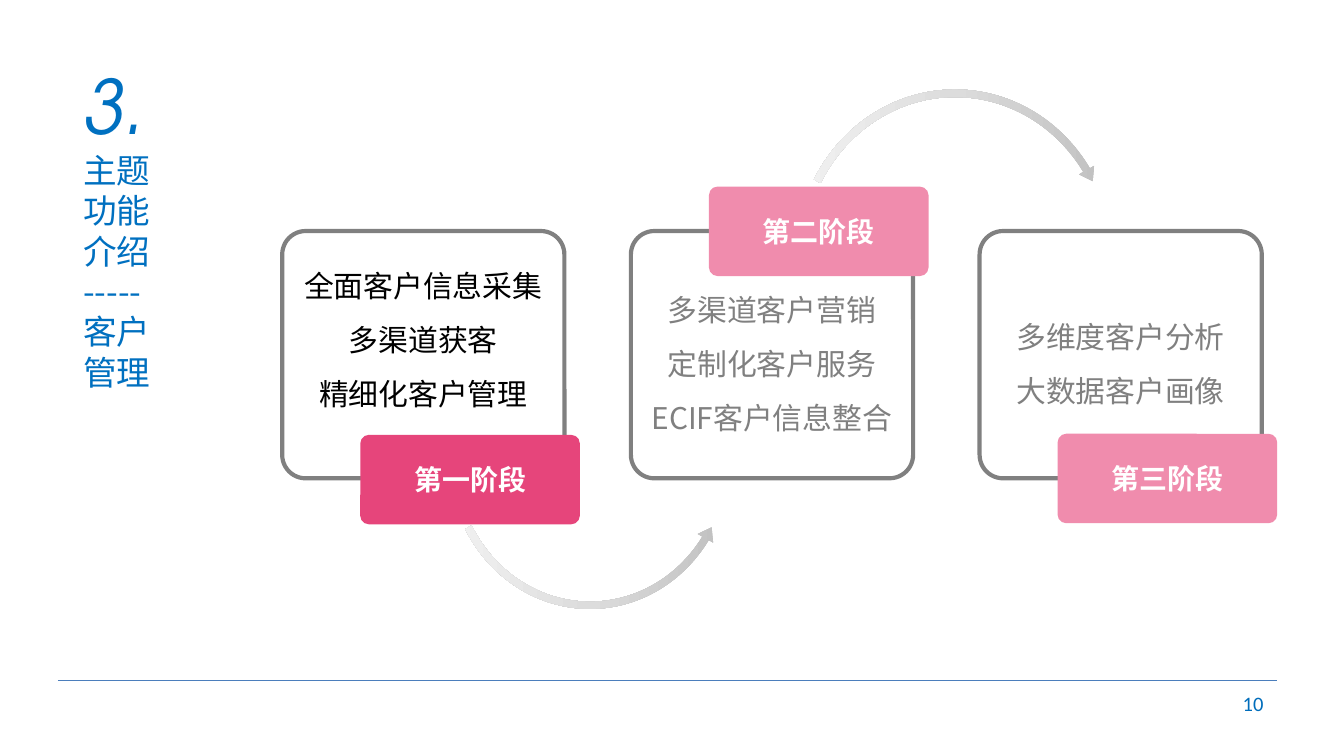
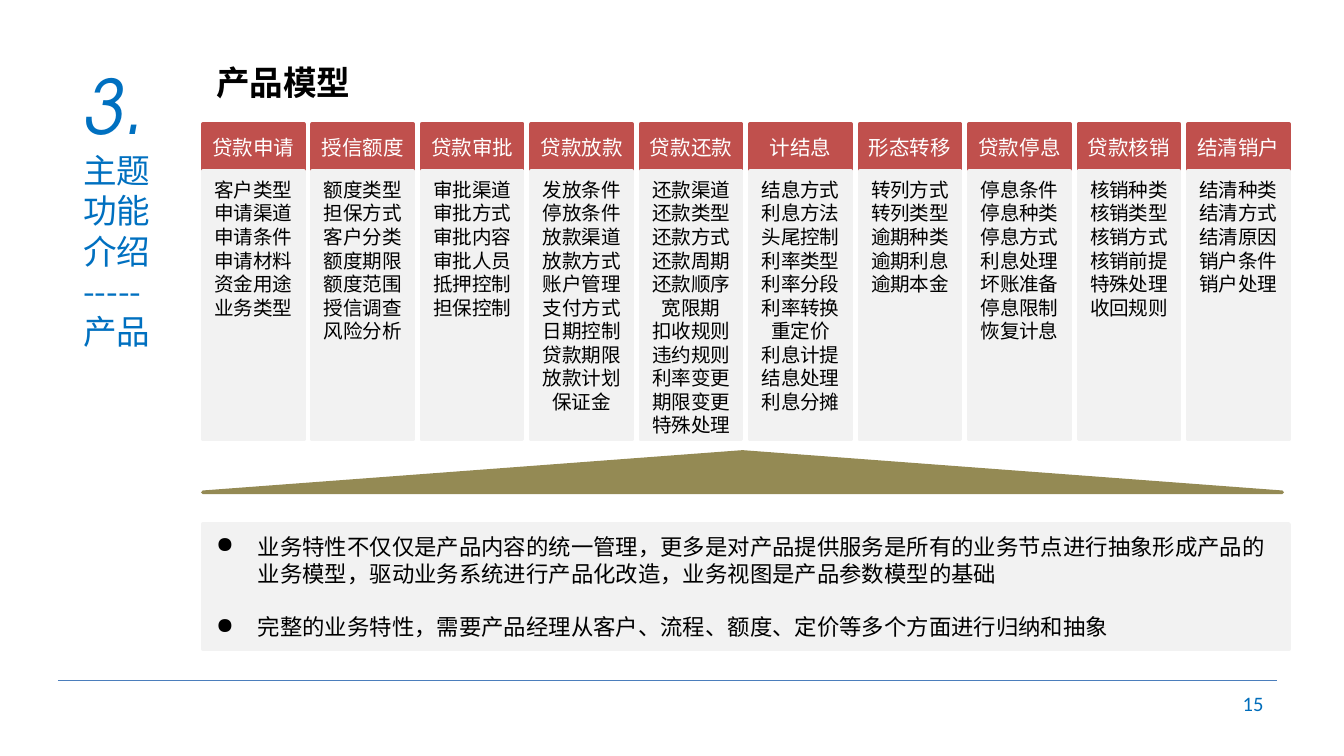
from copy import deepcopy
from dataclasses import dataclass

from lxml import etree
from pptx import Presentation
from pptx.dml.color import RGBColor
from pptx.enum.shapes import MSO_CONNECTOR, MSO_SHAPE
from pptx.enum.text import MSO_ANCHOR, PP_ALIGN
from pptx.oxml.ns import qn
from pptx.util import Pt

RECTANGLE = MSO_SHAPE.RECTANGLE
ROUNDED = MSO_SHAPE.ROUNDED_RECTANGLE
TRIANGLE = MSO_SHAPE.ISOSCELES_TRIANGLE
ARC_OVER = MSO_SHAPE.CIRCULAR_ARROW
ARC_UNDER = MSO_SHAPE.LEFT_CIRCULAR_ARROW
STRAIGHT = MSO_CONNECTOR.STRAIGHT
LEFT, CENTER, RIGHT = PP_ALIGN.LEFT, PP_ALIGN.CENTER, PP_ALIGN.RIGHT
TOP, MIDDLE = MSO_ANCHOR.TOP, MSO_ANCHOR.MIDDLE


@dataclass(frozen=True)
class Theme:
    # Fonts
    body_font: str = "Noto Sans CJK SC"
    number_font: str = "TeX Gyre Adventor"
    footer_font: str = "Calibri"
    # Colours
    title: str = "0070C0"
    page: str = "006DBB"
    rule: str = "4B7EBC"
    black: str = "000000"
    white: str = "FFFFFF"
    gray: str = "808080"
    active: str = "E6457B"
    inactive: str = "F08CAD"
    header: str = "C0504D"
    panel: str = "F2F2F2"
    roof: str = "948A54"
    arc: tuple = ("BEBEBE", "DCDCDC", "F3F3F3")
    # Type sizes
    number_size: float = 40
    title_size: float = 18
    stage_size: float = 16
    tag_size: float = 15
    note_size: float = 12
    header_size: float = 11
    item_size: float = 10.5
    # Proportions
    leading: float = 1.2
    wide_leading: float = 1.8
    corner: float = 0.095


THEME = Theme()


def write(frame, lines, size, color, font=THEME.body_font, bold=False, italic=False,
          align=LEFT, anchor=TOP, insets=(7.2, 3.6, 7.2, 3.6),
          leading=THEME.leading, gap=0, bullet=None, append=False):
    """Fill a text frame with one paragraph for each line."""
    frame.word_wrap = True
    frame.vertical_anchor = anchor
    (frame.margin_left, frame.margin_top,
     frame.margin_right, frame.margin_bottom) = map(Pt, insets)
    for index, line in enumerate(lines):
        is_first = index == 0 and not append
        paragraph = frame.paragraphs[0] if is_first else frame.add_paragraph()
        paragraph.text = line
        if bullet:
            properties = paragraph._p.get_or_add_pPr()
            indent = Pt(22.3)
            properties.set("marL", str(indent))
            properties.set("indent", str(-indent))
            etree.SubElement(properties, qn("a:buChar"), char=bullet)
        paragraph.alignment = align
        paragraph.line_spacing = Pt(size * leading)
        if gap and not is_first:
            paragraph.space_before = Pt(gap)
        for run in paragraph.runs:
            run.font.size = Pt(size)
            run.font.bold = bold
            run.font.italic = italic
            run.font.color.rgb = RGBColor.from_string(color)
            run.font.name = font
            etree.SubElement(run._r.get_or_add_rPr(), qn("a:ea"), typeface=font)


class Deck:
    def __init__(self, theme):
        self.theme = theme
        self.presentation = Presentation()
        self.presentation.slide_width = Pt(720)
        self.presentation.slide_height = Pt(405)
        self.slide = None

    def new_slide(self, topic, page):
        """Start a slide with its side title, footer rule and page number."""
        theme = self.theme
        self.slide = self.presentation.slides.add_slide(self.presentation.slide_layouts[6])
        self.rule(31, 364.5, 684)
        frame = self.text_box(37.5, 28.8, 71.3, 158.4)
        write(frame, ["3."], theme.number_size, theme.title,
              font=theme.number_font, italic=True)
        title = "\v".join(["主题", "功能", "介绍", "-----", *topic])
        write(frame, [title], theme.title_size, theme.title, append=True)
        write(self.text_box(516.2, 365.8, 167.8, 21.6), [page], theme.header_size,
              theme.page, font=theme.footer_font, align=RIGHT, anchor=MIDDLE)

    def rule(self, left, top, right):
        connector = self.slide.shapes.add_connector(
            STRAIGHT, Pt(left), Pt(top), Pt(right), Pt(top))
        connector.line.color.rgb = RGBColor.from_string(self.theme.rule)
        connector.line.width = Pt(0.75)
        etree.SubElement(connector._element.spPr, qn("a:effectLst"))

    def text_box(self, left, top, width, height):
        box = self.slide.shapes.add_textbox(Pt(left), Pt(top), Pt(width), Pt(height))
        return box.text_frame

    def shape(self, kind, left, top, width, height, fill=None, line=None,
              line_width=2, adjustments=()):
        shape = self.slide.shapes.add_shape(
            kind, Pt(left), Pt(top), Pt(width), Pt(height))
        shape.shadow.inherit = False
        for index, value in enumerate(adjustments):
            shape.adjustments[index] = value
        if fill:
            shape.fill.solid()
            shape.fill.fore_color.rgb = RGBColor.from_string(fill)
        else:
            shape.fill.background()
        if line:
            shape.line.color.rgb = RGBColor.from_string(line)
            shape.line.width = Pt(line_width)
        else:
            shape.line.fill.background()
        return shape

    def panel(self, left, top, width, height, color):
        """Add a rectangle whose outline matches its fill."""
        return self.shape(RECTANGLE, left, top, width, height, color, color).text_frame

    def rounded(self, left, top, width, height, **style):
        return self.shape(ROUNDED, left, top, width, height,
                          adjustments=[self.theme.corner], **style).text_frame

    def arc(self, kind, left, top, width, height, adjustments):
        """Add a curved arrow that fades towards its tail."""
        shape = self.shape(kind, left, top, width, height, adjustments=adjustments)
        shape.fill.gradient()
        shape.fill.gradient_angle = 180
        stop_list = shape._element.spPr.find(qn("a:gradFill")).find(qn("a:gsLst"))
        stop_list.append(deepcopy(stop_list[-1]))
        for index, color in enumerate(self.theme.arc):
            stop = shape.fill.gradient_stops[index]
            stop.position = index / 2
            stop.color.rgb = RGBColor.from_string(color)


# Slide content
STAGES = [  # tag, tag top, bottom inset, lines
    ("第一阶段", 233, 26, ["全面客户信息采集", "多渠道获客", "精细化客户管理"]),
    ("第二阶段", 100, 0, ["多渠道客户营销", "定制化客户服务", "ECIF客户信息整合"]),
    ("第三阶段", 232.4, 0, ["多维度客户分析", "大数据客户画像"]),
]

LOAN_STEPS = {
    "贷款申请": "客户类型 申请渠道 申请条件 申请材料 资金用途 业务类型",
    "授信额度": "额度类型 担保方式 客户分类 额度期限 额度范围 授信调查 风险分析",
    "贷款审批": "审批渠道 审批方式 审批内容 审批人员 抵押控制 担保控制",
    "贷款放款": "发放条件 停放条件 放款渠道 放款方式 账户管理 支付方式 日期控制 "
            "贷款期限 放款计划 保证金",
    "贷款还款": "还款渠道 还款类型 还款方式 还款周期 还款顺序 宽限期 扣收规则 "
            "违约规则 利率变更 期限变更 特殊处理",
    "计结息": "结息方式 利息方法 头尾控制 利率类型 利率分段 利率转换 重定价 "
           "利息计提 结息处理 利息分摊",
    "形态转移": "转列方式 转列类型 逾期种类 逾期利息 逾期本金",
    "贷款停息": "停息条件 停息种类 停息方式 利息处理 坏账准备 停息限制 恢复计息",
    "贷款核销": "核销种类 核销类型 核销方式 核销前提 特殊处理 收回规则",
    "结清销户": "结清种类 结清方式 结清原因 销户条件 销户处理",
}

NOTES = [
    "业务特性不仅仅是产品内容的统一管理，更多是对产品提供服务是所有的业务节点进行抽象形成产品的"
    "业务模型，驱动业务系统进行产品化改造，业务视图是产品参数模型的基础",
    "完整的业务特性，需要产品经理从客户、流程、额度、定价等多个方面进行归纳和抽象",
]


def build_customer_slide(deck):
    theme = deck.theme
    deck.new_slide(["客户", "管理"], "10")

    # Arrows between the stages
    deck.arc(ARC_UNDER, 237.6, 162, 157, 167, [0.025, 3.094, 20.849, 90.245, 0.03])
    deck.arc(ARC_OVER, 423.4, 45.4, 176.4, 187.2,
             [0.023, 2.738, 195.507, 125.755, 0.026])

    # Stage frames with their tags
    for index, (tag, tag_top, bottom, lines) in enumerate(STAGES):
        left = 151.2 + index * 186.8
        current = index == 0
        frame = deck.rounded(left, 123.8, 151.2, 132.5, line=theme.gray, line_width=2.25)
        write(frame, lines, theme.stage_size, theme.black if current else theme.gray,
              align=CENTER, anchor=MIDDLE, insets=(0, 0, 0, bottom),
              leading=theme.wide_leading)
        label = deck.rounded(left + 41.8, tag_top, 117.6, 47.9,
                             fill=theme.active if current else theme.inactive)
        write(label, [tag], theme.tag_size, theme.white, bold=True,
              align=CENTER, anchor=MIDDLE, insets=(0, 0, 0, 0))


def build_product_slide(deck):
    theme = deck.theme
    deck.new_slide(["产品"], "15")
    left, narrow = 108.7, (0, 3.6, 0, 3.6)

    # Loan steps, one column each
    for index, (step, items) in enumerate(LOAN_STEPS.items()):
        column = left + index * 58.64
        write(deck.panel(column, 66.4, 54, 25.2, theme.header), [step],
              theme.header_size, theme.white, align=CENTER, anchor=MIDDLE, insets=narrow)
        write(deck.panel(column, 91.7, 54, 143.8, theme.panel), items.split(),
              theme.item_size, theme.black, align=CENTER, insets=narrow)

    # Roof and conclusions
    deck.shape(TRIANGLE, left, 242.2, 578.2, 21.6, theme.roof, theme.roof)
    write(deck.panel(left, 280.8, 581.8, 67, theme.panel), NOTES, theme.note_size,
          theme.black, anchor=MIDDLE, gap=theme.note_size * theme.leading, bullet="●")

    # Heading
    write(deck.text_box(left, 29.5, 421.2, 28.8), ["产品模型"], theme.title_size,
          theme.black, bold=True)


def main():
    deck = Deck(THEME)
    build_customer_slide(deck)
    build_product_slide(deck)
    deck.presentation.save("out.pptx")


if __name__ == "__main__":
    main()
